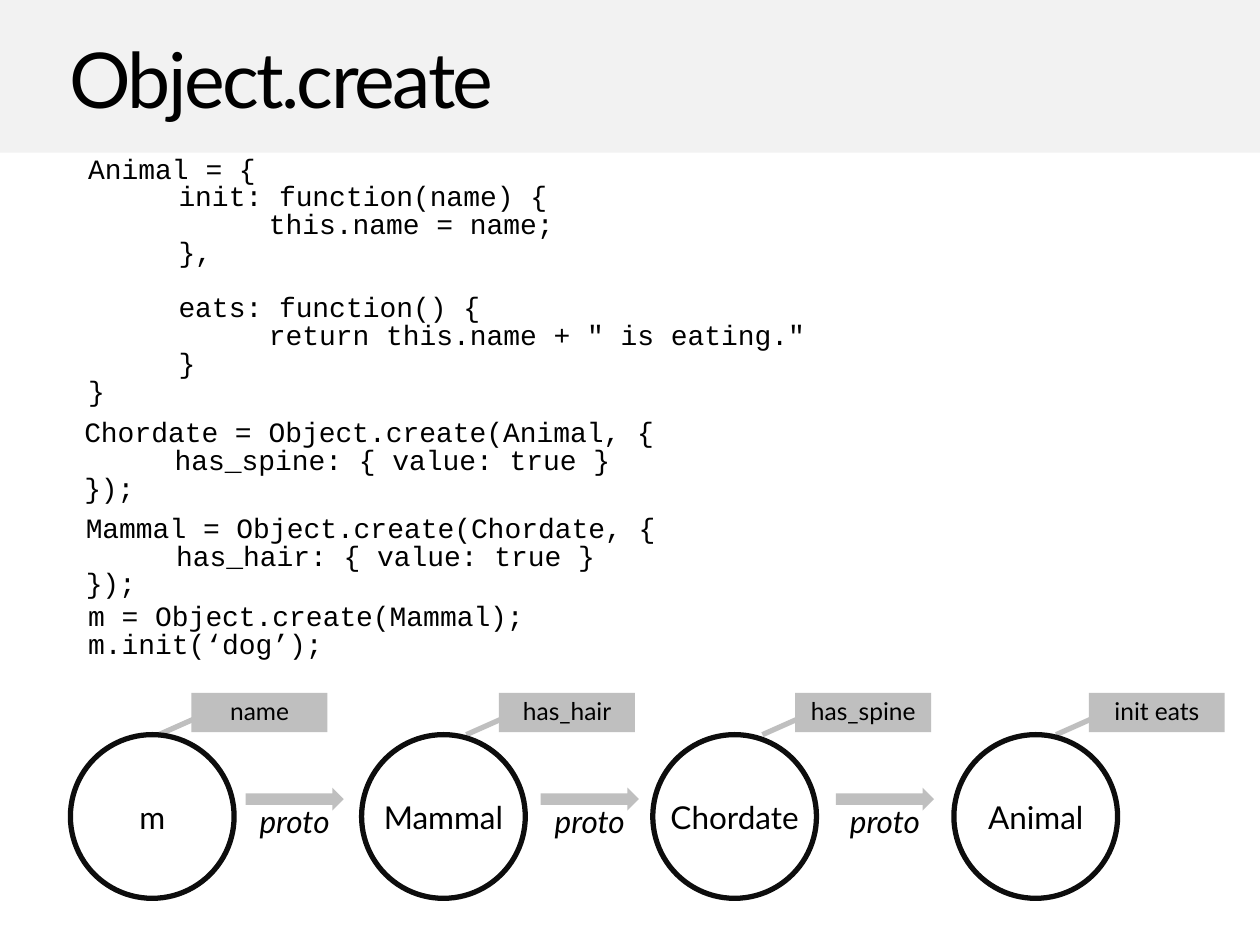
from lxml.etree import SubElement
from pptx import Presentation
from pptx.dml.color import RGBColor
from pptx.enum.shapes import MSO_CONNECTOR, MSO_SHAPE
from pptx.enum.text import MSO_ANCHOR, MSO_AUTO_SIZE, PP_ALIGN
from pptx.oxml.ns import qn
from pptx.util import Cm, Pt

COLORS = {"band": "F2F2F2", "text": "000000", "accent": "BFBFBF", "ring": "0D0D0D"}
TAB_STEP = 1.82
TIGHT = (0.23, 0.11)
NORMAL = (0.25, 0.13)


def color(name):
    return RGBColor.from_string(COLORS[name])


def add_shape(shapes, kind, left, top, width, height, fill=None, ring=None):
    shape = shapes.add_shape(kind, Cm(left), Cm(top), Cm(width), Cm(height))
    shape.shadow.inherit = False
    if fill:
        shape.fill.solid()
        shape.fill.fore_color.rgb = color(fill)
    else:
        shape.fill.background()
    if ring:
        shape.line.color.rgb = color(ring)
        shape.line.width = Pt(3)
    else:
        shape.line.fill.background()
    return shape


def set_frame(frame, insets):
    frame.word_wrap = False
    frame.vertical_anchor = MSO_ANCHOR.TOP
    frame.margin_left = frame.margin_right = Cm(insets[0])
    frame.margin_top = frame.margin_bottom = Cm(insets[1])


def set_font(paragraph, face, size, italic=False):
    paragraph.font.name = face
    paragraph.font.size = Pt(size)
    paragraph.font.italic = italic
    paragraph.font.color.rgb = color("text")


def add_label(shapes, text, left, top, width, height, size, insets=NORMAL,
              spacing=1.0, italic=False, grow=True):
    label = shapes.add_textbox(Cm(left), Cm(top), Cm(width), Cm(height))
    frame = label.text_frame
    set_frame(frame, insets)
    frame.auto_size = MSO_AUTO_SIZE.SHAPE_TO_FIT_TEXT if grow else MSO_AUTO_SIZE.NONE
    paragraph = frame.paragraphs[0]
    paragraph.text = text
    paragraph.alignment = PP_ALIGN.CENTER
    paragraph.line_spacing = spacing
    set_font(paragraph, "Lato", size, italic)


# Heading on its grey band
def add_heading(slide, text, left, top, width, height):
    band = add_shape(slide.shapes, MSO_SHAPE.RECTANGLE, left, top, width, height, "band")
    title = slide.shapes.title
    title.element.addprevious(band.element)
    title.left, title.top = Cm(left + 1.17), Cm(top + 0.51)
    title.width, title.height = Cm(width - 2.16), Cm(height - 0.97)
    set_frame(title.text_frame, TIGHT)
    title.text_frame.auto_size = MSO_AUTO_SIZE.NONE
    paragraph = title.text_frame.paragraphs[0]
    paragraph.text = text
    paragraph.alignment = PP_ALIGN.LEFT
    paragraph.line_spacing = 1.01
    set_font(paragraph, "Lato", 44)
    paragraph.runs[0].font._element.set("spc", "-150")


# Code listing; a tuple entry holds a line and the gap before it in points
def add_code(slide, lines, left, top, width, height):
    listing = slide.shapes.add_textbox(Cm(left), Cm(top), Cm(width), Cm(height))
    frame = listing.text_frame
    set_frame(frame, TIGHT)
    for index, entry in enumerate(lines):
        line, gap = entry if isinstance(entry, tuple) else (entry, 0)
        paragraph = frame.add_paragraph() if index else frame.paragraphs[0]
        paragraph.text = line
        paragraph.alignment = PP_ALIGN.LEFT
        paragraph.line_spacing = 0.83
        paragraph.space_before = Pt(gap)
        tabs = SubElement(paragraph._p.get_or_add_pPr(), qn("a:tabLst"))
        for stop in range(1, 9):
            SubElement(tabs, qn("a:tab"), pos=str(Cm(TAB_STEP * stop)), algn="l")
        set_font(paragraph, "Courier New", 16)


# Property tag with its leader line
def add_tag(slide, text, left, top, width=2.74, height=0.79):
    shapes = slide.shapes.add_group_shape().shapes
    add_shape(shapes, MSO_SHAPE.RECTANGLE, left, top, width, height, "accent")
    leader = shapes.add_connector(MSO_CONNECTOR.STRAIGHT, Cm(left - 0.66), Cm(top + 0.84),
                                  Cm(left + 0.15), Cm(top + 0.48))
    leader.line.color.rgb = color("accent")
    leader.line.width = Pt(3)
    SubElement(leader.element.spPr, qn("a:effectLst"))
    add_label(shapes, text, left + 0.41, top, width - 0.81, 0.66, 14,
              TIGHT, 0.93, grow=False)


# Object circle with its name
def add_object(slide, text, text_width, left, top, size=3.3):
    shapes = slide.shapes.add_group_shape().shapes
    add_shape(shapes, MSO_SHAPE.OVAL, left, top, size, size, ring="ring")
    add_label(shapes, text, left + (size - text_width) / 2, top + 1.14,
              text_width, 1.02, 18)


# Arrow to the prototype
def add_proto_link(slide, left, top, width=1.98, height=0.46):
    shapes = slide.shapes.add_group_shape().shapes
    add_shape(shapes, MSO_SHAPE.RIGHT_ARROW, left, top, width, height, "accent")
    add_label(shapes, "proto", left - 0.05, top + 0.15, width + 0.1, 1.02, 18, italic=True)


presentation = Presentation()
presentation.slide_width, presentation.slide_height = Cm(25.4), Cm(19.05)
slide = presentation.slides.add_slide(presentation.slide_layouts[5])

add_heading(slide, "Object.create", 0, 0, 25.4, 3.08)

LISTINGS = [
    ((1.55, 3.05, 18.47, 4.75), [
        "Animal = {",
        "\tinit: function(name) {",
        "\t\tthis.name = name;",
        "\t},",
        ("\teats: function() {", 15.5),
        "\t\treturn this.name + \" is eating.\"",
        "\t}",
        "}"]),
    ((1.47, 8.36, 12.55, 1.75), [
        "Chordate = Object.create(Animal, {",
        "\thas_spine: { value: true }",
        "});"]),
    ((1.5, 10.29, 12.55, 1.8), [
        "Mammal = Object.create(Chordate, {",
        "\thas_hair: { value: true }",
        "});"]),
    ((1.55, 12.07, 12.55, 1.3), [
        "m = Object.create(Mammal);",
        "m.init(‘dog’);"]),
]
for box, lines in LISTINGS:
    add_code(slide, lines, *box)

# Prototype chain: name, name width, circle left, property, tag left
CHAIN = [
    ("m", 1.04, 1.42, "name", 3.86),
    ("Mammal", 2.97, 7.29, "has_hair", 10.06),
    ("Chordate", 3.18, 13.16, "has_spine", 16.03),
    ("Animal", 2.49, 19.23, "init eats", 21.95),
]
for _, _, _, prop, tag_left in CHAIN:
    add_tag(slide, prop, tag_left, 13.97)
for name, name_width, circle_left, _, _ in CHAIN:
    add_object(slide, name, name_width, circle_left, 14.81)
for step in range(len(CHAIN) - 1):
    add_proto_link(slide, 4.95 + 5.95 * step, 15.88)

presentation.save("out.pptx")
